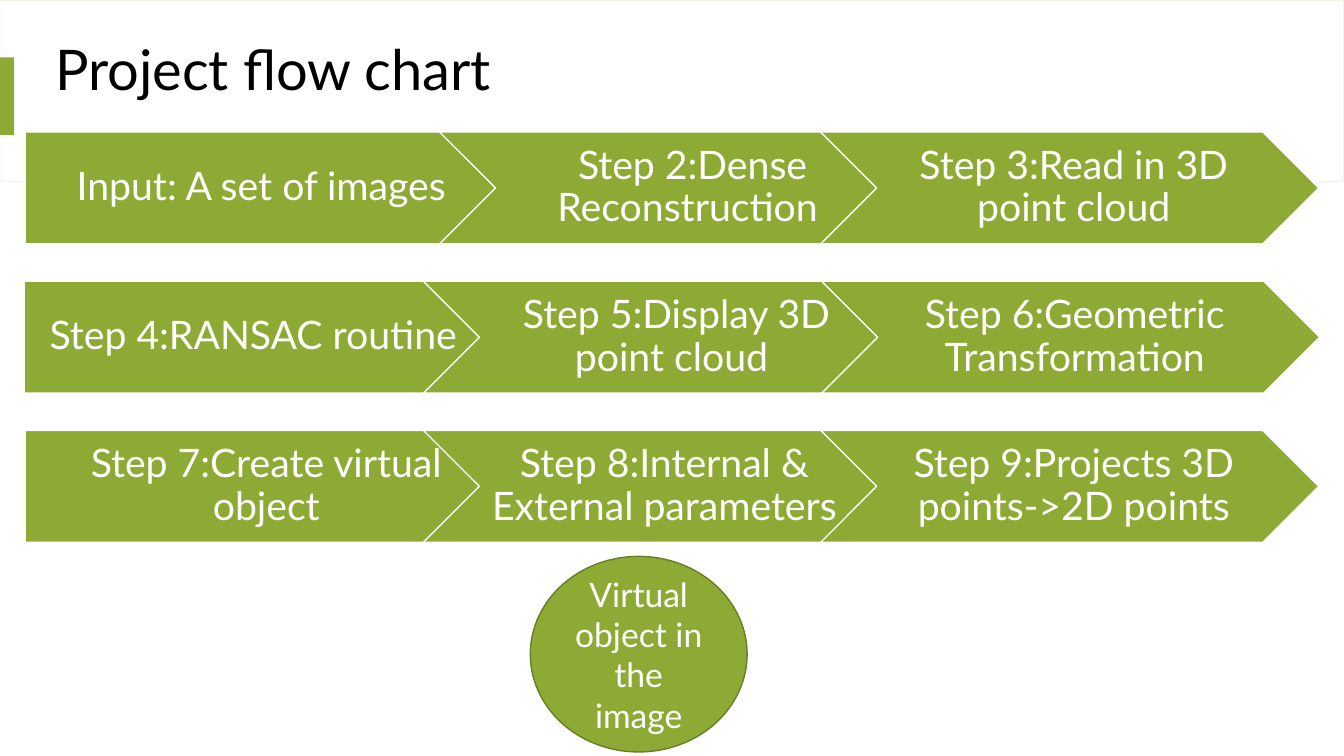
from dataclasses import dataclass

import pptx
import pptx.dml.color
import pptx.enum.shapes
import pptx.enum.text
import pptx.util

Inches = pptx.util.Inches
Pt = pptx.util.Pt
RGBColor = pptx.dml.color.RGBColor
Shape = pptx.enum.shapes.MSO_SHAPE
Align = pptx.enum.text.PP_ALIGN

GREEN = RGBColor(0x8D, 0xAA, 0x34)
DARK_GREEN = RGBColor(0x68, 0x7E, 0x26)
PALE_GREEN = RGBColor(0xED, 0xF0, 0xE4)
WHITE = RGBColor(0xFF, 0xFF, 0xFF)
BLACK = RGBColor(0x00, 0x00, 0x00)

FONT = "Lato"
PAGE_WIDTH, PAGE_HEIGHT = 13.33, 7.5
STEP_WIDTH, STEP_HEIGHT = 4.94, 1.11
FIRST_ROW_TOP, ROW_PITCH = 1.31, 1.48
UNITS_PER_INCH = 1000


@dataclass(frozen=True)
class Step:
    left: float
    label: str
    shift: float = 0  # moves a wide label left, clear of the next arrow


STEP_ROWS = (
    (
        Step(0.25, "Input: A set of images "),
        Step(4.36, "Step 2:Dense Reconstruction "),
        Step(8.14, "Step 3:Read in 3D point cloud"),
    ),
    (
        Step(0.24, "Step 4:RANSAC routine", shift=0.12),
        Step(4.2, "Step 5:Display 3D point cloud "),
        Step(8.15, "Step 6:Geometric Transformation"),
    ),
    (
        Step(0.25, "Step 7:Create virtual object"),
        Step(4.2, "Step 8:Internal & External parameters", shift=0.12),
        Step(8.14, "Step 9:Projects 3D points->2D points"),
    ),
)


def paint(shape, fill: RGBColor, line: RGBColor | None = None, width: float = 1) -> None:
    shape.shadow.inherit = False
    shape.fill.solid()
    shape.fill.fore_color.rgb = fill
    if line is None:
        shape.line.fill.background()
    else:
        shape.line.color.rgb = line
        shape.line.width = Pt(width)


def add_box(page, kind, left: float, top: float, width: float, height: float):
    return page.shapes.add_shape(kind, Inches(left), Inches(top), Inches(width), Inches(height))


def write(
    box,
    text: str,
    *,
    size: float,
    color: RGBColor = WHITE,
    align=Align.CENTER,
    spacing: float = 1.0,
    insets: tuple[float, float, float, float] = (0.1, 0.05, 0.1, 0.05),
) -> None:
    """Fill a box with one paragraph; insets run left, top, right, bottom."""
    frame = box.text_frame
    frame.word_wrap = True
    frame.vertical_anchor = pptx.enum.text.MSO_ANCHOR.MIDDLE
    frame.margin_left, frame.margin_top, frame.margin_right, frame.margin_bottom = map(Inches, insets)
    para = frame.paragraphs[0]
    para.alignment = align
    para.line_spacing = spacing
    span = para.add_run()
    span.text = text
    span.font.name = FONT
    span.font.size = Pt(size)
    span.font.color.rgb = color


def curve_points(start, first, second, end, pieces: int = 24) -> list[tuple[float, float]]:
    """Sample a cubic curve, leaving out its start point."""
    points = []
    for piece in range(1, pieces + 1):
        t = piece / pieces
        weights = ((1 - t) ** 3, 3 * t * (1 - t) ** 2, 3 * t**2 * (1 - t), t**3)
        corners = (start, first, second, end)
        points.append(tuple(sum(w * c[axis] for w, c in zip(weights, corners)) for axis in (0, 1)))
    return points


def draw_header_curve(page) -> None:
    right, middle, left = (12.42, 1.87), (6.67, 2.08), (0.91, 1.87)
    points = [(PAGE_WIDTH, 0), (PAGE_WIDTH, 1.79), right]
    points += curve_points(right, (10.65, 2), (8.71, 2.08), middle)
    points += curve_points(middle, (4.63, 2.08), (2.68, 2), left)
    points.append((0, 1.79))
    builder = page.shapes.build_freeform(0, 0, scale=Inches(1) / UNITS_PER_INCH)
    builder.add_line_segments([(x * UNITS_PER_INCH, y * UNITS_PER_INCH) for x, y in points], close=True)
    paint(builder.convert_to_shape(), WHITE, PALE_GREEN, 0.75)


def draw_step_row(page, steps: tuple[Step, ...], top: float) -> None:
    for index, step in enumerate(steps):
        kind = Shape.CHEVRON if index else Shape.PENTAGON
        arrow = add_box(page, kind, step.left, top, STEP_WIDTH, STEP_HEIGHT)
        paint(arrow, GREEN, WHITE)
        left_inset = 0.12 if index else 0.16
        insets = (left_inset - step.shift, 0.08, 0.04 + step.shift, 0.08)
        write(arrow, step.label, size=28, spacing=0.9, insets=insets)


def main() -> None:
    deck = pptx.Presentation()
    deck.slide_width, deck.slide_height = Inches(PAGE_WIDTH), Inches(PAGE_HEIGHT)
    page = deck.slides.add_slide(deck.slide_layouts[6])
    page.background.fill.solid()
    page.background.fill.fore_color.rgb = WHITE

    draw_header_curve(page)
    title = page.shapes.add_textbox(Inches(0.45), Inches(0.26), Inches(11.5), Inches(0.91))
    write(title, "Project flow chart", size=40, color=BLACK, align=Align.LEFT, spacing=0.9)
    paint(add_box(page, Shape.RECTANGLE, 0, 0.57, 0.14, 0.77), GREEN)

    for index, steps in enumerate(STEP_ROWS):
        draw_step_row(page, steps, FIRST_ROW_TOP + index * ROW_PITCH)

    result = add_box(page, Shape.OVAL, 5.26, 5.52, 2.15, 1.94)
    paint(result, GREEN, DARK_GREEN)
    write(result, "Virtual object in the image", size=24)

    deck.save("out.pptx")


if __name__ == "__main__":
    main()
